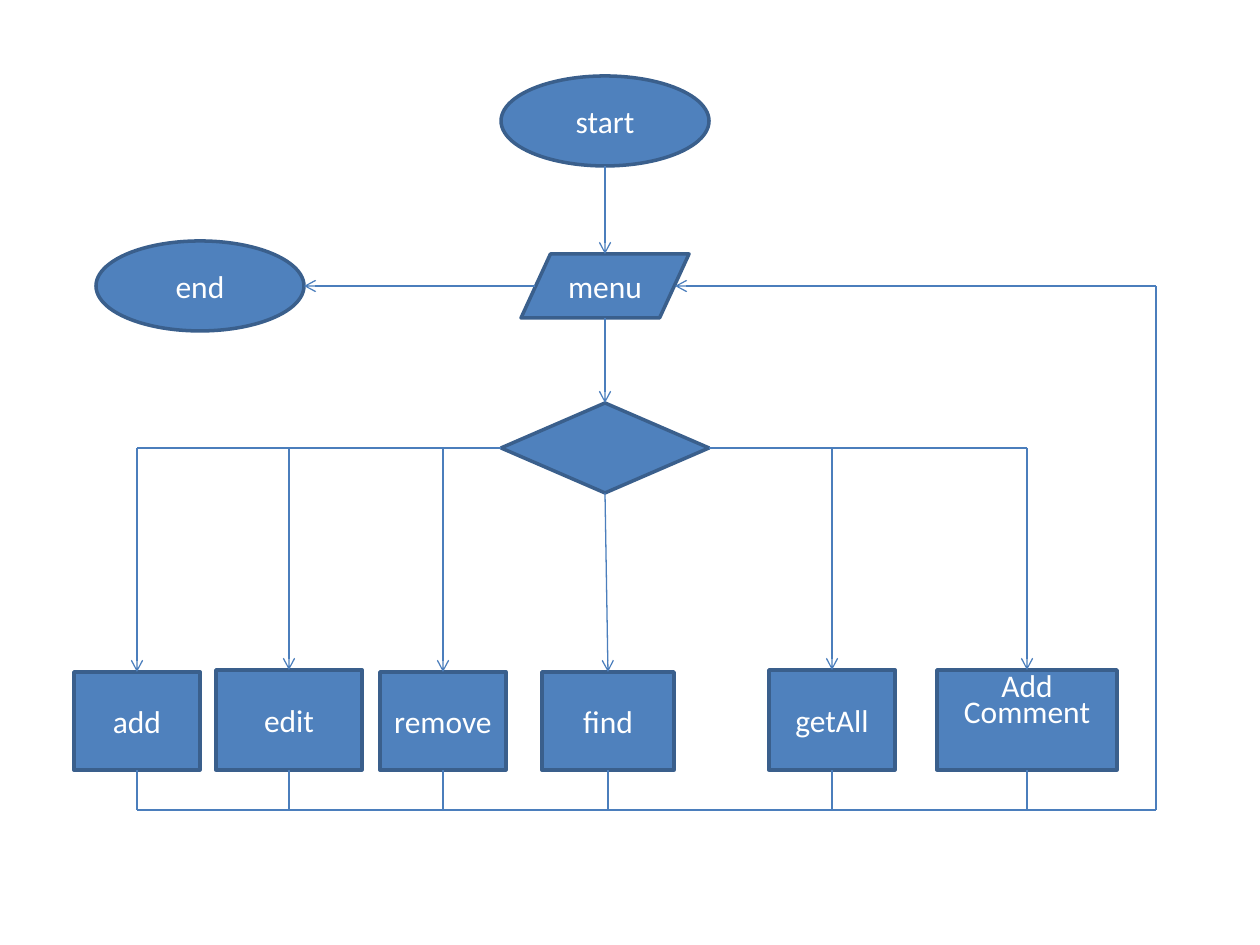
"""Build a flowchart slide of a menu loop with six commands."""
from lxml import etree
from pptx import Presentation
from pptx.dml.color import RGBColor
from pptx.enum.shapes import MSO_CONNECTOR, MSO_SHAPE
from pptx.enum.text import MSO_ANCHOR, PP_ALIGN
from pptx.oxml.ns import qn
from pptx.util import Emu, Pt

FILL = RGBColor(0x4F, 0x81, 0xBD)
BORDER = RGBColor(0x3A, 0x5F, 0x8C)
LINE = RGBColor(0x4B, 0x7E, 0xBC)
WHITE = RGBColor(0xFF, 0xFF, 0xFF)
STRAIGHT = MSO_CONNECTOR.STRAIGHT
OVAL, DIAMOND, RECT = MSO_SHAPE.OVAL, MSO_SHAPE.DIAMOND, MSO_SHAPE.RECTANGLE
PARALLELOGRAM = MSO_SHAPE.PARALLELOGRAM
CENTER, MIDDLE, TOP = PP_ALIGN.CENTER, MSO_ANCHOR.MIDDLE, MSO_ANCHOR.TOP
PX = 914400 / 126
MID_X, MENU_Y, BRANCH_Y = 605, 286, 448
BOX_BOTTOM, RETURN_Y, RETURN_X = 770, 810, 1156

prs = Presentation()
prs.slide_width, prs.slide_height = Emu(round(1260 * PX)), Emu(round(945 * PX))
slide = prs.slides.add_slide(prs.slide_layouts[6])


def add_node(kind, x, y, w, h, *lines):
    sp = slide.shapes.add_shape(kind, *(Emu(round(v * PX)) for v in (x, y, w, h)))
    sp.shadow.inherit = False
    sp.fill.solid()
    sp.fill.fore_color.rgb = FILL
    sp.line.color.rgb = BORDER
    sp.line.width = Pt(2)
    tf = sp.text_frame
    tf.word_wrap = True
    tf.vertical_anchor = TOP if len(lines) > 1 else MIDDLE
    for i, text in enumerate(lines):
        p = tf.add_paragraph() if i else tf.paragraphs[0]
        p.alignment = CENTER
        if len(lines) > 1:
            p.line_spacing = 0.7
        r = p.add_run()
        r.text = text
        r.font.name = "Calibri"
        r.font.size = Pt(18)
        r.font.color.rgb = WHITE
    return sp


def add_line(x1, y1, x2, y2, arrow=False, begin=None, end=None):
    cxn = slide.shapes.add_connector(
        STRAIGHT, *(Emu(round(v * PX)) for v in (x1, y1, x2, y2)))
    cxn.line.color.rgb = LINE
    cxn.line.width = Pt(0.75)
    sp_pr = cxn._element.spPr
    if arrow:
        etree.SubElement(sp_pr.find(qn("a:ln")), qn("a:tailEnd"), type="arrow")
    etree.SubElement(sp_pr, qn("a:effectLst"))
    if begin:
        cxn.begin_connect(*begin)
    if end:
        cxn.end_connect(*end)


add_node(OVAL, 501, 76, 208, 90, "start")
add_node(OVAL, 96, 241, 208, 90, "end")
menu = add_node(PARALLELOGRAM, 521, 254, 168, 64, "menu")
menu.adjustments[0] = 0.46
choice = add_node(DIAMOND, 501, 403, 208, 90)

add_line(MID_X, 166, MID_X, 254, arrow=True)
add_line(MID_X, 318, MID_X, 403, arrow=True, end=(choice, 0))
add_line(535, MENU_Y, 304, MENU_Y, arrow=True)
add_line(501, BRANCH_Y, 137, BRANCH_Y, begin=(choice, 1))
add_line(709, BRANCH_Y, 1027, BRANCH_Y, begin=(choice, 3))

commands = [
    (137, 672, 126, ["add"]),
    (289, 670, 146, ["edit"]),
    (443, 672, 126, ["remove"]),
    (608, 672, 132, ["find"]),
    (832, 670, 126, ["getAll"]),
    (1027, 670, 180, ["Add", "Comment"]),
]
for x, top, w, lines in commands:
    box = add_node(RECT, x - w // 2, top, w, BOX_BOTTOM - top, *lines)
    if lines == ["find"]:
        add_line(MID_X, 493, x, top, arrow=True, begin=(choice, 2), end=(box, 0))
    else:
        add_line(x, BRANCH_Y, x, top, arrow=True, end=(box, 0))
    add_line(x, BOX_BOTTOM, x, RETURN_Y, begin=(box, 2))

add_line(137, RETURN_Y, RETURN_X, RETURN_Y)
add_line(RETURN_X, RETURN_Y, RETURN_X, MENU_Y)
add_line(RETURN_X, MENU_Y, 675, MENU_Y, arrow=True)

prs.save("out.pptx")
